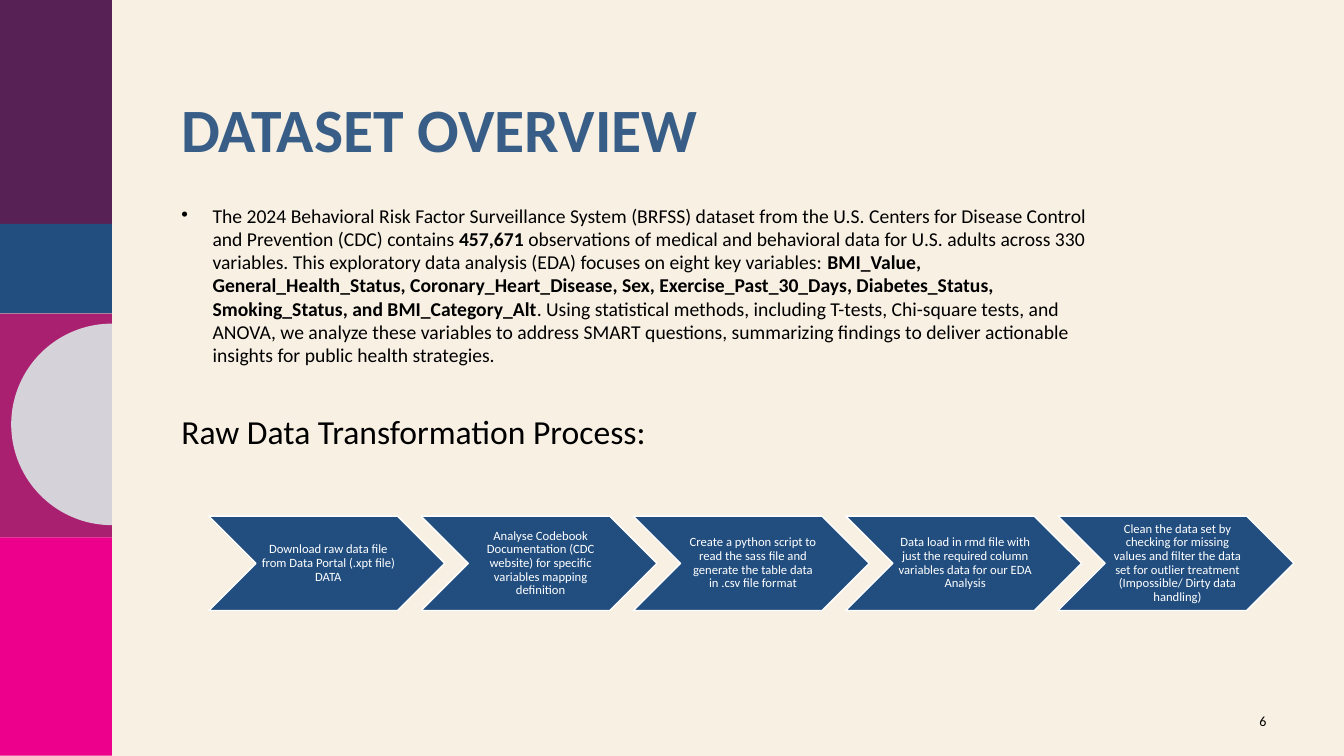
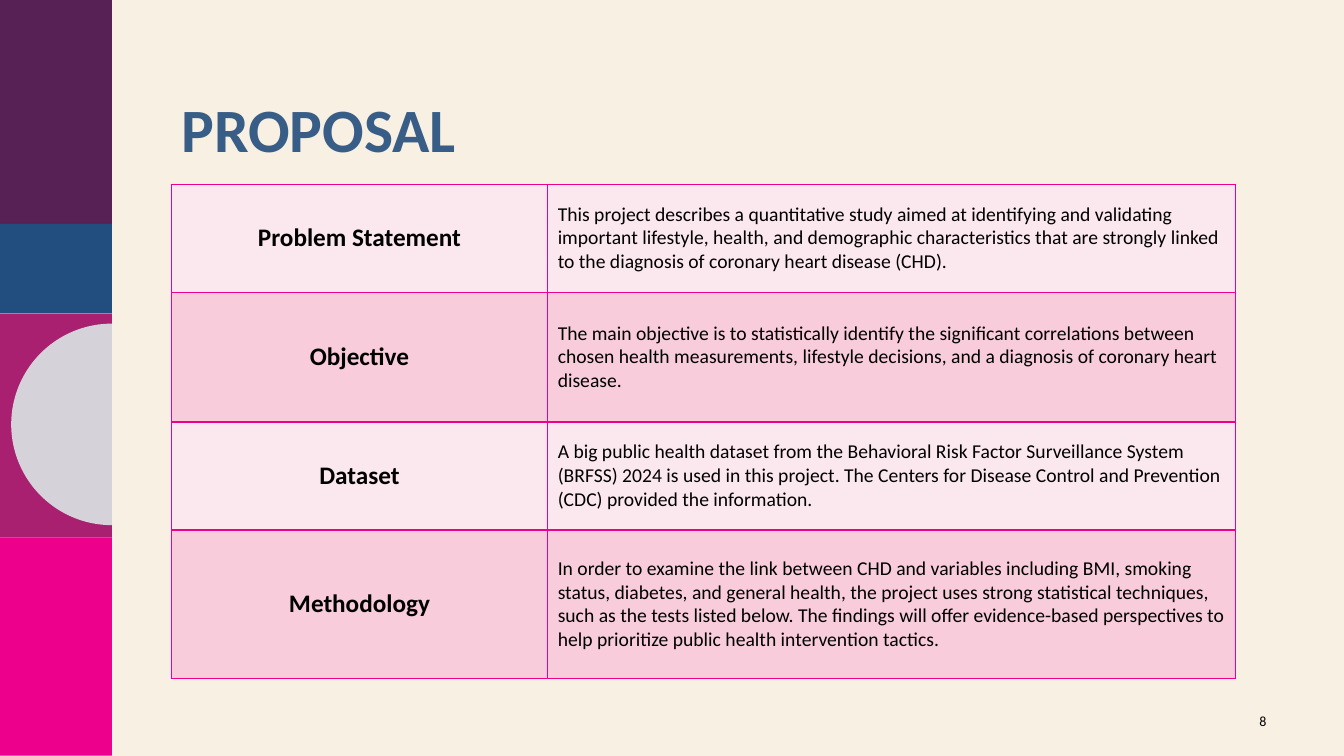
"""Build the dataset overview and proposal slides."""
from lxml.etree import SubElement
from pptx import Presentation
from pptx.dml.color import RGBColor
from pptx.enum.shapes import MSO_SHAPE
from pptx.enum.text import MSO_ANCHOR, PP_ALIGN
from pptx.oxml.ns import qn
from pptx.util import Inches, Pt

SLIDE_WIDTH, SLIDE_HEIGHT = 13.33, 7.5
UNIT = SLIDE_WIDTH / 120
ROWS = 67.5

CREAM, BLACK, WHITE = "F8F0E3", "000000", "FFFFFF"
PURPLE, NAVY, MAGENTA, PINK, GREY = "582156", "224E7F", "AA2070", "EC008C", "D5D2DA"
TITLE_BLUE = "385E88"
TABLE_FILLS = ("FBE7EE", "F8CCDA")
FONT = "Calibri"
CONTENT_LEFT = 15.3

BANDS = [(PURPLE, 0, 20), (NAVY, 20, 28), (MAGENTA, 28, 48), (PINK, 48, ROWS)]

OVERVIEW = [
    ("The 2024 Behavioral Risk Factor Surveillance System (BRFSS) dataset from the U.S. "
     "Centers for Disease Control and Prevention (CDC) contains ", False),
    ("457,671", True),
    (" observations of medical and behavioral data for U.S. adults across 330 variables. "
     "This exploratory data analysis (EDA) focuses on eight key variables: ", False),
    ("BMI_Value, General_Health_Status, Coronary_Heart_Disease, Sex, Exercise_Past_30_Days, "
     "Diabetes_Status, Smoking_Status, and BMI_Category_Alt", True),
    (". Using statistical methods, including T-tests, Chi-square tests, and ANOVA, we analyze "
     "these variables to address SMART questions, summarizing findings to deliver actionable "
     "insights for public health strategies.", False),
]

STEPS = [
    "Download raw data file from Data Portal (.xpt file) DATA",
    "Analyse Codebook Documentation (CDC website) for specific variables mapping definition",
    "Create a python script to read the sass file and generate the table data in .csv file format",
    "Data load in rmd file with just the required column variables data for our EDA Analysis",
    "Clean the data set by checking for missing values and filter the data set for outlier "
    "treatment (Impossible/ Dirty data handling)",
]

PROPOSAL = [
    ("Problem Statement", 9.65,
     "This project describes a quantitative study aimed at identifying and validating important "
     "lifestyle, health, and demographic characteristics that are strongly linked to the "
     "diagnosis of coronary heart disease (CHD)."),
    ("Objective", 11.6,
     "The main objective is to statistically identify the significant correlations between "
     "chosen health measurements, lifestyle decisions, and a diagnosis of coronary heart disease."),
    ("Dataset", 9.65,
     "A big public health dataset from the Behavioral Risk Factor Surveillance System (BRFSS) "
     "2024 is used in this project. The Centers for Disease Control and Prevention (CDC) "
     "provided the information."),
    ("Methodology", 13.25,
     "In order to examine the link between CHD and variables including BMI, smoking status, "
     "diabetes, and general health, the project uses strong statistical techniques, such as the "
     "tests listed below. The findings will offer evidence-based perspectives to help prioritize "
     "public health intervention tactics."),
]


def grid(*units):
    """Turn grid units into lengths."""
    return [Inches(unit * UNIT) for unit in units]


def color(value):
    """Turn a hex string into a colour."""
    return RGBColor.from_string(value)


def style(paragraph, size, ink=BLACK, bold=False, align=PP_ALIGN.LEFT, spacing=1.0):
    """Set the font, alignment and line spacing of a paragraph."""
    paragraph.alignment = align
    paragraph.line_spacing = spacing
    font = paragraph.font
    font.name, font.size, font.bold = FONT, Pt(size), bold
    font.color.rgb = color(ink)


def add_bullet(paragraph, indent):
    """Give a paragraph a hanging round bullet."""
    properties = paragraph._p.get_or_add_pPr()
    properties.set("marL", str(indent))
    properties.set("indent", str(-indent))
    SubElement(properties, qn("a:buChar"), char="•")


def add_text(slide, box, text, size, anchor=MSO_ANCHOR.TOP, **look):
    """Add a wrapped text box with one paragraph."""
    frame = slide.shapes.add_textbox(*grid(*box)).text_frame
    frame.word_wrap = True
    frame.vertical_anchor = anchor
    frame.text = text
    style(frame.paragraphs[0], size, **look)
    return frame.paragraphs[0]


def add_filled(slide, kind, box, fill):
    """Add a flat preset shape without a line."""
    shape = slide.shapes.add_shape(kind, *grid(*box))
    shape.shadow.inherit = False
    shape.fill.solid()
    shape.fill.fore_color.rgb = color(fill)
    shape.line.fill.background()
    return shape


def add_framed_slide(presentation, title, number):
    """Add a slide with the side bands, title and page number."""
    slide = presentation.slides.add_slide(presentation.slide_layouts[6])
    for fill, top, bottom in BANDS:
        add_filled(slide, MSO_SHAPE.RECTANGLE, (0, top, 10, bottom - top), fill)
    half_disc = add_filled(slide, MSO_SHAPE.CHORD, (1, 28.9, 18, 18), GREY)
    half_disc.adjustments[0], half_disc.adjustments[1] = 54, 162
    add_text(slide, (CONTENT_LEFT, 8.4, 97.1, 13.4), title, 44,
             ink=TITLE_BLUE, bold=True, spacing=0.9)
    add_text(slide, (109.45, 62.55, 4.5, 3.6), number, 10,
             anchor=MSO_ANCHOR.MIDDLE, align=PP_ALIGN.RIGHT)
    return slide


def add_overview(slide):
    """Add the bulleted paragraph with its bold terms."""
    paragraph = add_text(slide, (CONTENT_LEFT, 17.9, 85.1, 16), "", 14, spacing=0.98)
    properties = paragraph._p.get_or_add_pPr()
    default_font = properties.find(qn("a:defRPr"))
    add_bullet(paragraph, Inches(0.31))
    properties.append(default_font)
    for text, bold in OVERVIEW:
        run = paragraph.add_run()
        run.text = text
        run.font.bold = bold


def add_process(slide, left, top, width):
    """Add the row of overlapping chevrons."""
    for index, step in enumerate(STEPS):
        box = (left + index * 0.9 * width, top, width, 0.4 * width)
        chevron = add_filled(slide, MSO_SHAPE.CHEVRON, box, NAVY)
        chevron.line.color.rgb = color(WHITE)
        chevron.line.width = Pt(1)
        frame = chevron.text_frame
        frame.word_wrap = True
        frame.vertical_anchor = MSO_ANCHOR.MIDDLE
        frame.margin_left = Inches(0.04)
        frame.margin_right = frame.margin_top = frame.margin_bottom = Inches(0.01)
        frame.text = step
        style(frame.paragraphs[0], 9, ink=WHITE, align=PP_ALIGN.CENTER, spacing=0.9)


def fill_cell(cell, text, fill, size, **look):
    """Write one bordered, filled table cell."""
    properties = cell._tc.get_or_add_tcPr()
    for side in ("a:lnL", "a:lnR", "a:lnT", "a:lnB"):
        line = SubElement(properties, qn(side), w=str(Pt(1)))
        SubElement(SubElement(line, qn("a:solidFill")), qn("a:srgbClr"), val=PINK)
    cell.fill.solid()
    cell.fill.fore_color.rgb = color(fill)
    cell.vertical_anchor = MSO_ANCHOR.MIDDLE
    cell.text = text
    style(cell.text_frame.paragraphs[0], size, **look)


def add_proposal_table(slide, left, top, widths):
    """Add the table of proposal parts."""
    height = sum(row_height for _, row_height, _ in PROPOSAL)
    box = grid(left, top, sum(widths), height)
    table = slide.shapes.add_table(len(PROPOSAL), len(widths), *box).table
    table.first_row = table.horz_banding = False
    for column, width in zip(table.columns, grid(*widths)):
        column.width = width
    for index, (heading, row_height, text) in enumerate(PROPOSAL):
        table.rows[index].height = grid(row_height)[0]
        fill = TABLE_FILLS[index % 2]
        fill_cell(table.cell(index, 0), heading, fill, 18, bold=True, align=PP_ALIGN.CENTER)
        fill_cell(table.cell(index, 1), text, fill, 14)


def main():
    """Build and save the presentation."""
    presentation = Presentation()
    presentation.slide_width = Inches(SLIDE_WIDTH)
    presentation.slide_height = Inches(SLIDE_HEIGHT)
    background = presentation.slide_master.background.fill
    background.solid()
    background.fore_color.rgb = color(CREAM)

    overview = add_framed_slide(presentation, "DATASET OVERVIEW", "6")
    add_overview(overview)
    add_text(overview, (CONTENT_LEFT, 36.3, 85.1, 4.6), "Raw Data Transformation Process:", 24)
    add_process(overview, 18.65, 46.1, 21.06)

    proposal = add_framed_slide(presentation, "PROPOSAL", "8")
    add_proposal_table(proposal, CONTENT_LEFT, 16.45, (33.6, 61.4))
    presentation.save("out.pptx")


if __name__ == "__main__":
    main()
